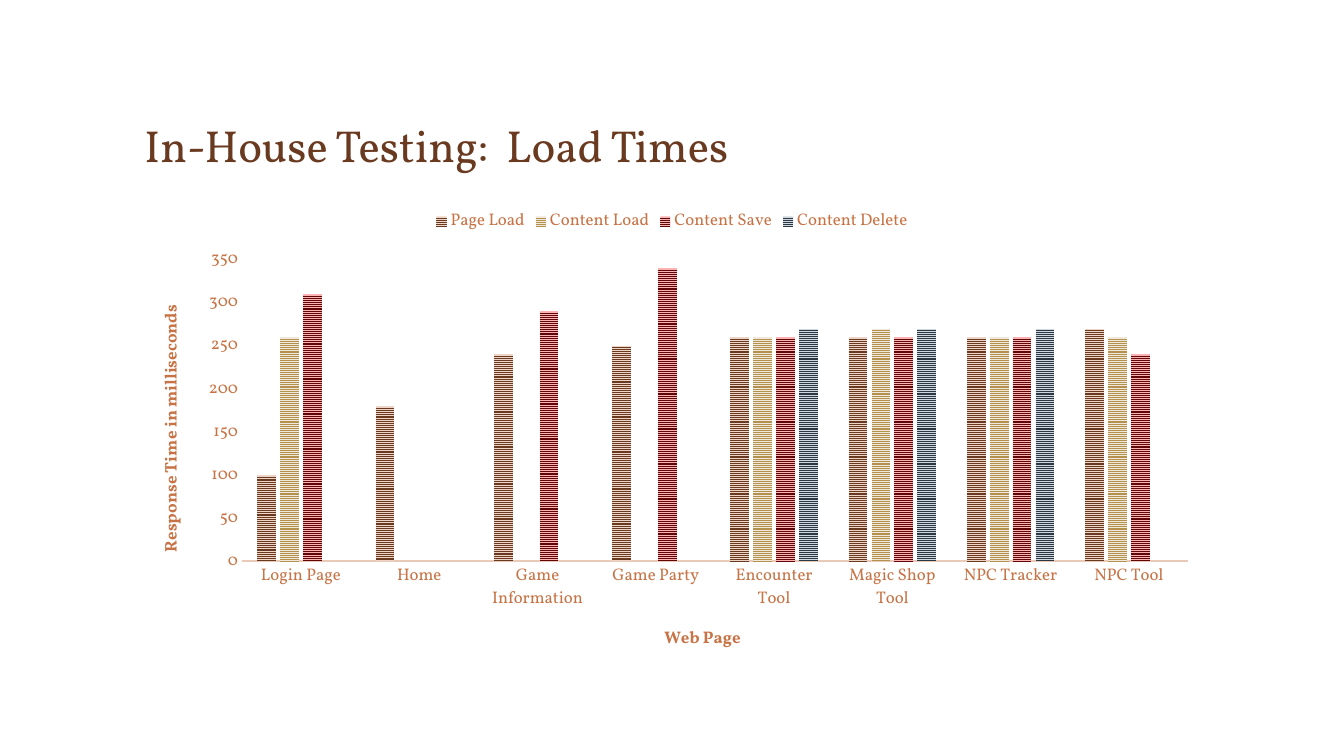
from lxml import etree
from pptx import Presentation
from pptx import util as u
from pptx.chart.data import CategoryChartData
from pptx.dml.color import RGBColor
from pptx.enum import chart as ch, dml, text
from pptx.oxml.ns import qn

BROWN = RGBColor(0x6A, 0x3A, 0x20)
RUST = RGBColor(0xC7, 0x73, 0x45)
PEACH = RGBColor(0xE9, 0xC9, 0xB8)
SAND = RGBColor(0xEE, 0xD4, 0xC6)
GOLD = RGBColor(0xB4, 0x91, 0x4C)
CREAM = RGBColor(0xF0, 0xE9, 0xDB)
WINE = RGBColor(0x61, 0x06, 0x06)
PINK = RGBColor(0xFA, 0xB2, 0xB2)
NAVY = RGBColor(0x2B, 0x37, 0x42)
MIST = RGBColor(0xCE, 0xD7, 0xDF)

PAGES = ["Login Page", "Home", "Game Information", "Game Party",
         "Encounter Tool", "Magic Shop Tool", "NPC Tracker", "NPC Tool"]
TIMES = [
    ("Page Load", BROWN, SAND, [100, 180, 240, 250, 260, 260, 260, 270]),
    ("Content Load", GOLD, CREAM,
     [260, None, None, None, 260, 270, 260, 260]),
    ("Content Save", WINE, PINK, [310, None, 290, 340, 260, 260, 260, 240]),
    ("Content Delete", NAVY, MIST,
     [None, None, None, None, 270, 270, 270, None]),
]


class Deck:
    """Holds the style, a grid of 40 columns by 75 rows, and the current slide."""

    face = "Vollkorn"

    def __init__(self):
        self.prs = Presentation()
        self.prs.slide_width = u.Inches(13.33)
        self.prs.slide_height = u.Inches(7.5)
        self.slide = self.prs.slides.add_slide(self.prs.slide_layouts[5])

    def box(self, col, row, cols, rows):
        wide, high = self.prs.slide_width / 40, self.prs.slide_height / 75
        return [u.Emu(round(n)) for n in
                (col * wide, row * high, cols * wide, rows * high)]

    def font(self, font, size, color, bold=False):
        font.name, font.size, font.bold = self.face, u.Pt(size), bold
        font.color.rgb = color

    def title(self, words, *area):
        head = self.slide.shapes.title
        head.left, head.top, head.width, head.height = self.box(*area)
        frame = head.text_frame
        frame.word_wrap = True
        frame.vertical_anchor = text.MSO_ANCHOR.BOTTOM
        para = frame.paragraphs[0]
        para.alignment = text.PP_ALIGN.LEFT
        run = para.add_run()
        run.text = words
        self.font(run.font, 32, BROWN)

    def place(self, node, index, **share):
        for old in node.findall(qn("c:layout")):
            node.remove(old)
        layout = etree.Element(qn("c:layout"))
        manual = etree.SubElement(layout, qn("c:manualLayout"))
        if "w" in share:
            share = {"layoutTarget": "inner", **share}
        modes = {"xMode": "edge", "yMode": "edge"}
        for tag in ("layoutTarget", "xMode", "yMode", "x", "y", "w", "h"):
            value = {**modes, **share}.get(tag)
            if value is not None:
                etree.SubElement(manual, qn("c:" + tag)).set("val", str(value))
        node.insert(index, layout)

    def axis(self, axis, words, x, y):
        axis.has_major_gridlines = False
        axis.major_tick_mark = axis.minor_tick_mark = ch.XL_TICK_MARK.NONE
        self.font(axis.tick_labels.font, 12, RUST)
        run = axis.axis_title.text_frame.paragraphs[0].add_run()
        run.text = words
        self.font(run.font, 12, RUST, True)
        self.place(axis.axis_title._element, 1, x=x, y=y)

    def bars(self, pages, times, *area):
        data = CategoryChartData()
        data.categories = pages
        for name, _, _, values in times:
            data.add_series(name, values)
        chart = self.slide.shapes.add_chart(
            ch.XL_CHART_TYPE.COLUMN_CLUSTERED, *self.box(*area), data).chart
        self.font(chart.font, 10, BROWN)
        chart.has_title = False
        chart.has_legend = True
        chart.legend.position = ch.XL_LEGEND_POSITION.TOP
        chart.legend.include_in_layout = False
        self.font(chart.legend.font, 12, RUST)
        plot = chart.plots[0]
        plot.gap_width, plot.overlap = 164, -22
        plot.vary_by_categories = False
        for bar, (_, fore, back, _) in zip(plot.series, times):
            fill = bar.format.fill
            fill.patterned()
            fill.pattern = dml.MSO_PATTERN.NARROW_HORIZONTAL
            fill.fore_color.rgb, fill.back_color.rgb = fore, back
            bar.format.line.fill.background()
        cat, val = chart.category_axis, chart.value_axis
        self.axis(cat, "Web Page", 0.49, 0.9)
        cat.format.line.color.rgb = PEACH
        cat.format.line.width = u.Pt(1.5)
        self.axis(val, "Response Time in milliseconds", 0.02, 0.22)
        val.format.line.fill.background()
        val.minimum_scale, val.maximum_scale, val.major_unit = 0, 350, 50
        area = chart._chartSpace.find(".//" + qn("c:plotArea"))
        self.place(area, 0, x=0.1, y=0.13, w=0.88, h=0.64)

    def save(self):
        self.prs.save("out.pptx")


def main():
    deck = Deck()
    deck.title("In-House Testing:  Load Times", 4, 4.7, 32, 12.8)
    deck.bars(PAGES, TIMES, 4, 19.7, 32, 46.7)
    deck.save()


if __name__ == "__main__":
    main()
